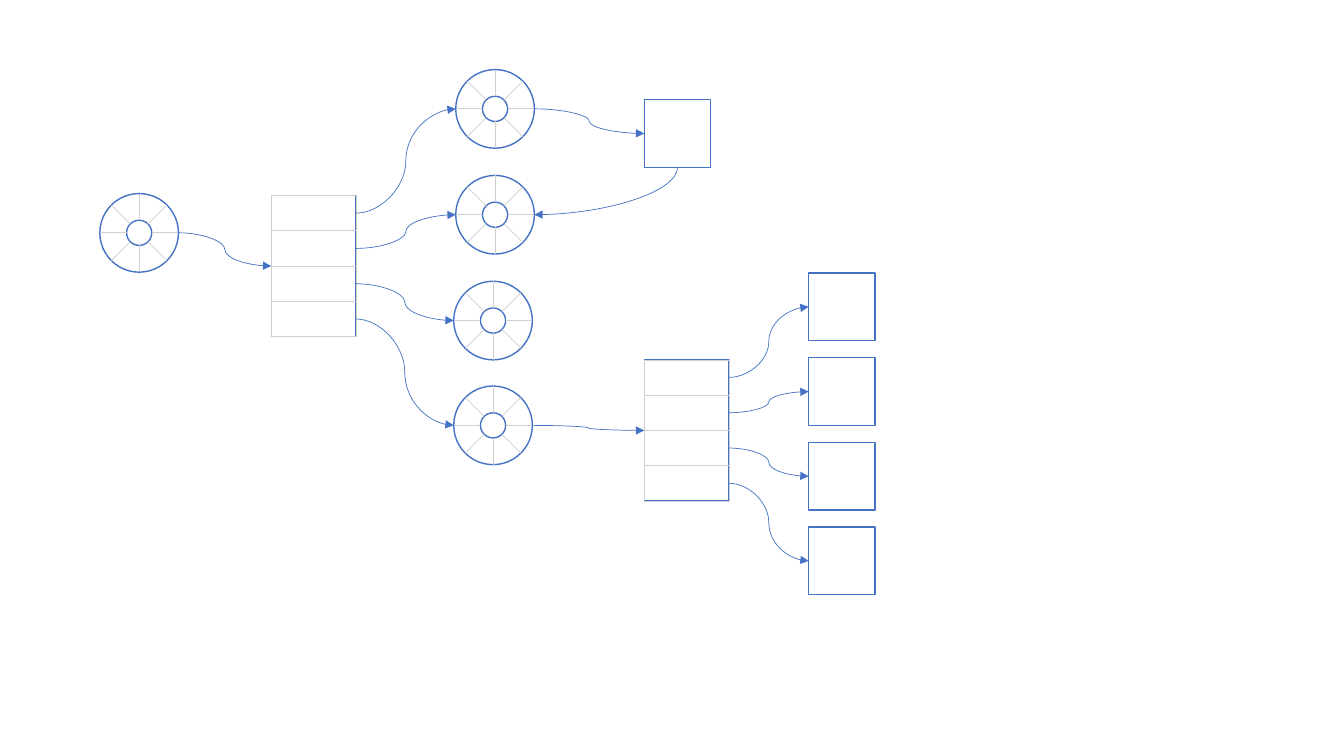
from math import cos, pi, sin

from lxml.etree import SubElement
from pptx import Presentation
from pptx.dml.color import RGBColor
from pptx.enum.shapes import MSO_CONNECTOR, MSO_SHAPE
from pptx.oxml.ns import qn
from pptx.util import Inches, Pt

BLUE, GRAY, WHITE = "4472C4", "D0CECE", "FFFFFF"
OUTER_RADIUS, HUB_RADIUS, SPOKES = 0.39, 0.125, 8
STACK_WIDTH, ROW_HEIGHT, ROWS = 0.84, 0.35, 4
BOX_WIDTH, BOX_HEIGHT, BOX_PITCH = 0.66, 0.67, 0.84

ROOT_WHEEL = (1.38, 2.31)
BRANCH_WHEELS = [(4.91, 1.08), (4.91, 2.13), (4.89, 3.18), (4.89, 4.22)]
ROOT_STACK, LEAF_STACK = (2.69, 1.94), (6.39, 3.57)
SHARED_BOX = (6.39, 0.99)
LEAF_BOXES = [(8.02, 2.71 + BOX_PITCH * row) for row in range(ROWS)]


def color(value):
    return RGBColor.from_string(value)


def add_outline(shapes, kind, left, top, width, height, line, weight, fill=None):
    shape = shapes.add_shape(kind, *map(Inches, (left, top, width, height)))
    shape.shadow.inherit = False
    if fill:
        shape.fill.solid()
        shape.fill.fore_color.rgb = color(fill)
    else:
        shape.fill.background()
    shape.line.color.rgb = color(line)
    shape.line.width = Pt(weight)


def add_line(shapes, kind, start, end, line):
    connector = shapes.add_connector(kind, *map(Inches, (*start, *end)))
    connector.line.color.rgb = color(line)
    connector.line.width = Pt(0.5)
    SubElement(connector.element.spPr, qn("a:effectLst"))
    return connector


def add_wheel(center):
    shapes = slide.shapes.add_group_shape().shapes
    x, y = center
    for radius in (OUTER_RADIUS, HUB_RADIUS):
        add_outline(shapes, MSO_SHAPE.OVAL, x - radius, y - radius,
                    2 * radius, 2 * radius, BLUE, 1, WHITE)
    for spoke in range(SPOKES):
        angle = 2 * pi * spoke / SPOKES
        rim, hub = [(x + radius * cos(angle), y + radius * sin(angle))
                    for radius in (OUTER_RADIUS, HUB_RADIUS)]
        add_line(shapes, MSO_CONNECTOR.STRAIGHT, rim, hub, GRAY)


def add_stack(corner):
    shapes = slide.shapes.add_group_shape().shapes
    left, top = corner
    add_outline(shapes, MSO_SHAPE.RECTANGLE, left, top,
                STACK_WIDTH, ROWS * ROW_HEIGHT, BLUE, 1, WHITE)
    for row in range(ROWS):
        add_outline(shapes, MSO_SHAPE.RECTANGLE, left, top + row * ROW_HEIGHT,
                    STACK_WIDTH, ROW_HEIGHT, GRAY, 0.5)


def add_arrow(start, end):
    connector = add_line(slide.shapes, MSO_CONNECTOR.CURVE, start, end, BLUE)
    SubElement(connector.element.spPr.find(qn("a:ln")), qn("a:tailEnd"), type="triangle")
    return connector


def add_return_arrow(start, end):
    middle_x, middle_y = (start[0] + end[0]) / 2, (start[1] + end[1]) / 2
    half_width, half_height = (end[1] - start[1]) / 2, (start[0] - end[0]) / 2
    connector = add_arrow((middle_x - half_width, middle_y - half_height),
                          (middle_x + half_width, middle_y + half_height))
    properties = connector.element.spPr
    properties.find(qn("a:xfrm")).set("rot", str(90 * 60000))
    properties.find(qn("a:prstGeom")).set("prst", "curvedConnector2")


def wheel_side(center, direction):
    return center[0] + direction * OUTER_RADIUS, center[1]


def stack_entry(corner):
    return corner[0], corner[1] + ROWS * ROW_HEIGHT / 2


def row_exit(corner, row):
    return corner[0] + STACK_WIDTH, corner[1] + (row + 0.5) * ROW_HEIGHT


def box_entry(corner):
    return corner[0], corner[1] + BOX_HEIGHT / 2


presentation = Presentation()
presentation.slide_width, presentation.slide_height = Inches(13.33), Inches(7.5)
slide = presentation.slides.add_slide(presentation.slide_layouts[6])

for center in [ROOT_WHEEL, *BRANCH_WHEELS]:
    add_wheel(center)
for corner in (ROOT_STACK, LEAF_STACK):
    add_stack(corner)
for corner in [SHARED_BOX, *LEAF_BOXES]:
    add_outline(slide.shapes, MSO_SHAPE.RECTANGLE, *corner,
                BOX_WIDTH, BOX_HEIGHT, BLUE, 1, WHITE)

add_arrow(wheel_side(ROOT_WHEEL, 1), stack_entry(ROOT_STACK))
for row, (wheel, box) in enumerate(zip(BRANCH_WHEELS, LEAF_BOXES)):
    add_arrow(row_exit(ROOT_STACK, row), wheel_side(wheel, -1))
    add_arrow(row_exit(LEAF_STACK, row), box_entry(box))
add_arrow(wheel_side(BRANCH_WHEELS[0], 1), box_entry(SHARED_BOX))
add_arrow(wheel_side(BRANCH_WHEELS[3], 1), stack_entry(LEAF_STACK))
add_return_arrow((SHARED_BOX[0] + BOX_WIDTH / 2, SHARED_BOX[1] + BOX_HEIGHT),
                 wheel_side(BRANCH_WHEELS[1], 1))

presentation.save("out.pptx")
